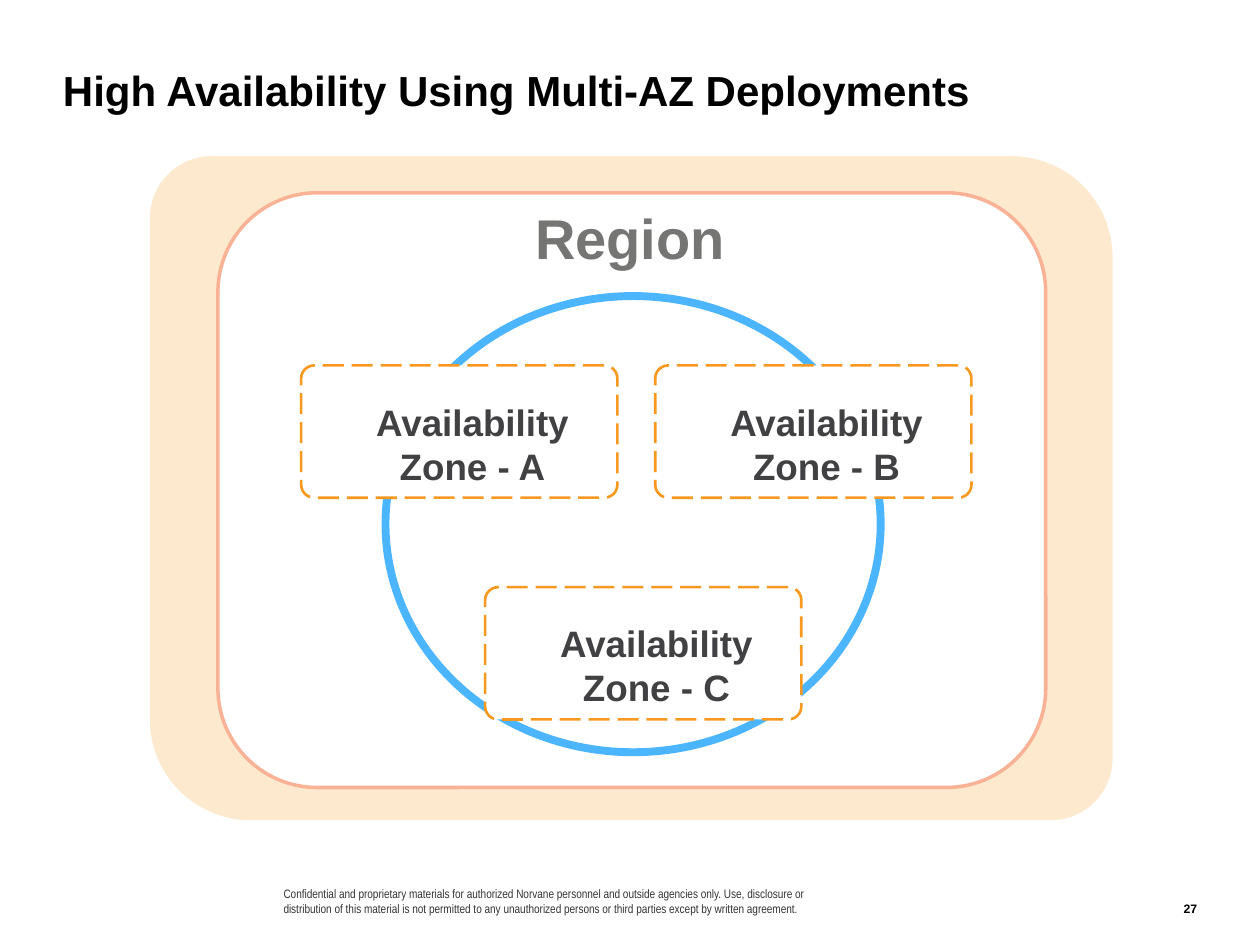
"""Build the slide on high availability with three zones in one region."""
from lxml.etree import SubElement
from pptx import Presentation
from pptx.dml.color import RGBColor
from pptx.enum.dml import MSO_LINE
from pptx.enum.shapes import MSO_SHAPE
from pptx.enum.text import MSO_ANCHOR, PP_ALIGN
from pptx.oxml.ns import qn
from pptx.util import Inches, Pt

THEME = {
    "title": ("Arial", 24, "000000", True),
    "region": ("Arial", 32, "757573", True),
    "zone": ("Arial", 21, "414042", True),
    "legal": ("Arial Narrow", 7, "333333", False),
    "page": ("Arial", 7, "000000", True),
    "band": "FAA634",
    "panel": "FFFFFF",
    "panel_line": "F9B295",
    "ring": "4CB5FF",
    "zone_line": "F7981F",
}

prs = Presentation()
prs.slide_width, prs.slide_height = Inches(10), Inches(7.5)
COL, ROW = prs.slide_width / 100, prs.slide_height / 75
s = prs.slides.add_slide(prs.slide_layouts[6])


def add_text(x, y, w, h, text, style, align=PP_ALIGN.LEFT, inset=(1, 0.5, 1, 0.5),
             anchor=MSO_ANCHOR.TOP, spacing=1.0):
    tb = s.shapes.add_textbox(int(x * COL), int(y * ROW), int(w * COL), int(h * ROW))
    tf = tb.text_frame
    tf.word_wrap, tf.vertical_anchor = True, anchor
    tf.margin_left, tf.margin_top, tf.margin_right, tf.margin_bottom = (
        int(i * COL) for i in inset)
    p = tf.paragraphs[0]
    p.text, p.alignment, p.line_spacing = text, align, spacing
    name, size, color, bold = THEME[style]
    p.font.name, p.font.size, p.font.bold = name, Pt(size), bold
    p.font.color.rgb = RGBColor.from_string(color)


def add_box(kind, x, y, w, h, fill=None, line=None, width=1, adj=()):
    sp = s.shapes.add_shape(kind, int(x * COL), int(y * ROW), int(w * COL), int(h * ROW))
    sp.shadow.inherit = False
    for i, value in enumerate(adj):
        sp.adjustments[i] = value
    if fill:
        sp.fill.solid()
        sp.fill.fore_color.rgb = RGBColor.from_string(THEME[fill])
    else:
        sp.fill.background()
    if line:
        sp.line.color.rgb = RGBColor.from_string(THEME[line])
        sp.line.width = Pt(width)
    else:
        sp.line.fill.background()
    return sp


add_text(22.5, 70.2, 44.2, 2.5,
         "Confidential and proprietary materials for authorized Norvane personnel and outside "
         "agencies only. Use, disclosure or distribution of this material is not permitted to any "
         "unauthorized persons or third parties except by written agreement.",
         "legal", inset=(0, 0, 2, 0), anchor=MSO_ANCHOR.BOTTOM)
add_text(3.7, 5.2, 89.7, 8, "High Availability Using Multi-AZ Deployments", "title",
         inset=(1.3, 0.7, 1.3, 0.7), spacing=0.8)

band = add_box(MSO_SHAPE.ROUND_2_DIAG_RECTANGLE, 11.9, 12.4, 76.4, 52.7, "band",
               adj=(0.093, 0.152))
color = band.fill._xPr.find(qn("a:solidFill")).find(qn("a:srgbClr"))
SubElement(color, qn("a:alpha")).set("val", "24000")
add_box(MSO_SHAPE.ROUNDED_RECTANGLE, 17.3, 15.3, 65.7, 47.2, "panel", "panel_line", 2, (0.167,))
add_box(MSO_SHAPE.OVAL, 30.6, 23.5, 39.3, 36.2, line="ring", width=4.5)

for letter, x, y in (("A", 23.9, 29), ("B", 52, 29), ("C", 38.5, 46.6)):
    zone = add_box(MSO_SHAPE.ROUNDED_RECTANGLE, x, y, 25.1, 10.5, "panel", "zone_line", 1.5,
                   (0.098,))
    zone.line.dash_style = MSO_LINE.LONG_DASH
    add_text(x + 2, y + 2.2, 23.2, 8.1, f"Availability Zone - {letter}", "zone", PP_ALIGN.CENTER)

add_text(21.4, 15.7, 57.2, 6.4, "Region", "region", PP_ALIGN.CENTER)
add_text(92.5, 70.2, 2.5, 2.5, "27", "page", PP_ALIGN.RIGHT, (0, 0, 0, 0), MSO_ANCHOR.BOTTOM)

prs.save("out.pptx")
